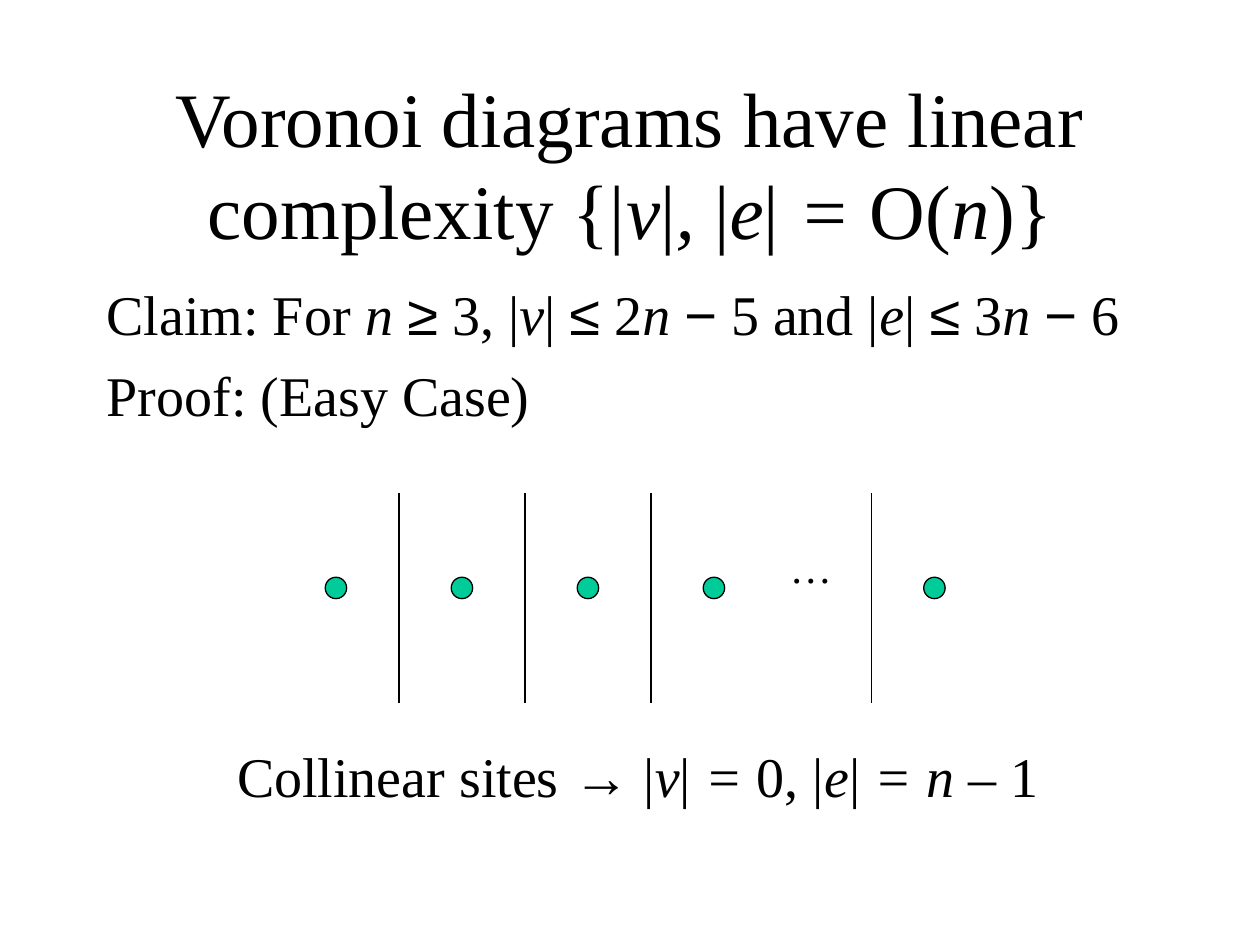
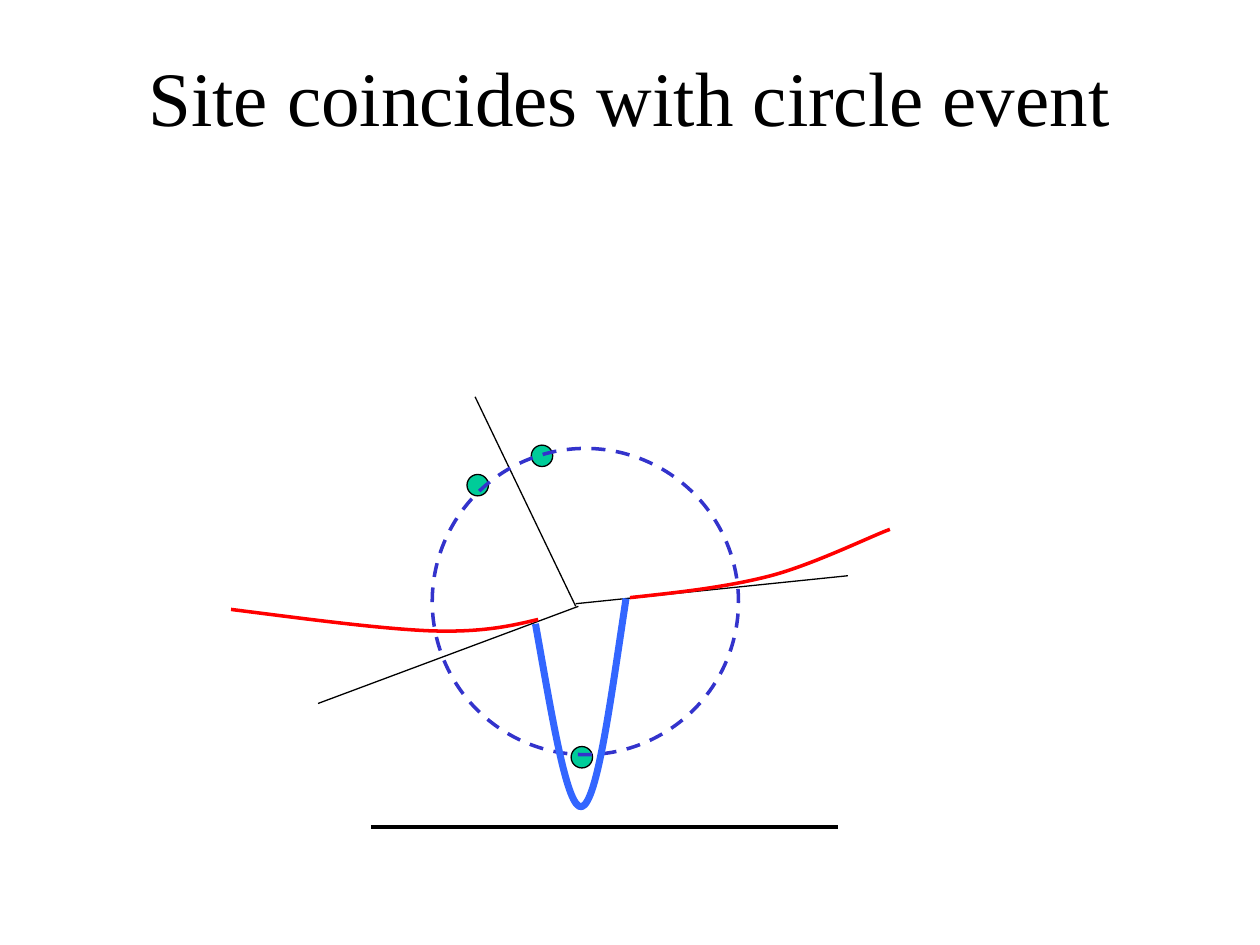
from collections import namedtuple
from dataclasses import dataclass
from itertools import groupby

from lxml import etree
from pptx import Presentation
from pptx.dml.color import RGBColor
from pptx.enum import dml, shapes, text
from pptx.oxml.ns import qn
from pptx.util import Pt

Box = namedtuple("Box", "left top width height")


@dataclass(frozen=True)
class Theme:
    ink: str = "000000"
    site: str = "00CC99"
    circle: str = "3333CC"
    beach: str = "FF0000"
    new_arc: str = "3366FF"
    font: str = "Times New Roman"
    symbol_font: str = "Arial"
    symbols: str = "≥≤−→"
    title_size: float = 44
    body_size: float = 32
    small_size: float = 24
    thin: float = 0.75
    medium: float = 2
    thick: float = 4
    site_size: float = 12.25


THEME = Theme()


# Shared text helpers
def write_rich(para, marked, size):
    """Write text in which *stars* enclose italics; math symbols get their own font."""
    for index, part in enumerate(marked.split("*")):
        for is_symbol, letters in groupby(part, lambda letter: letter in THEME.symbols):
            span = para.add_run()
            span.text = "".join(letters)
            span.font.name = THEME.symbol_font if is_symbol else THEME.font
            span.font.size = Pt(size)
            span.font.italic = index % 2 == 1
            span.font.color.rgb = RGBColor.from_string(THEME.ink)


def place(item, box):
    item.left, item.top, item.width, item.height = map(Pt, box)


def set_frame(frame, anchor, wrap=True):
    frame.margin_left = frame.margin_right = Pt(7.2)
    frame.margin_top = frame.margin_bottom = Pt(3.6)
    frame.auto_size = text.MSO_AUTO_SIZE.NONE
    frame.vertical_anchor = anchor
    frame.word_wrap = wrap


def add_title(page, box, marked):
    title = page.shapes.title
    place(title, box)
    set_frame(title.text_frame, text.MSO_ANCHOR.MIDDLE)
    para = title.text_frame.paragraphs[0]
    para.alignment = text.PP_ALIGN.CENTER
    write_rich(para, marked, THEME.title_size)


def add_body(page, box, lines):
    body = page.placeholders[1]
    place(body, box)
    frame = body.text_frame
    set_frame(frame, text.MSO_ANCHOR.TOP)
    for index, line in enumerate(lines):
        para = frame.add_paragraph() if index else frame.paragraphs[0]
        properties = para._p.get_or_add_pPr()
        properties.set("marL", str(Pt(27)))
        properties.set("indent", str(Pt(-27)))
        etree.SubElement(properties, qn("a:buNone"))
        para.space_before = Pt(8 if index else 0)
        write_rich(para, line, THEME.body_size)


def add_label(page, box, marked, size, wrap=True):
    label = page.shapes.add_textbox(*map(Pt, box))
    set_frame(label.text_frame, text.MSO_ANCHOR.TOP, wrap)
    write_rich(label.text_frame.paragraphs[0], marked, size)


# Shared drawing helpers
def set_line(item, color, width):
    item.line.color.rgb = RGBColor.from_string(color)
    item.line.width = Pt(width)


def shift(box, point):
    return box.left + point[0], box.top + point[1]


def add_line(page, box, start, end, width=THEME.thin):
    ends = [Pt(value) for point in (start, end) for value in shift(box, point)]
    line = page.shapes.add_connector(shapes.MSO_CONNECTOR.STRAIGHT, *ends)
    set_line(line, THEME.ink, width)
    etree.SubElement(line._element.spPr, qn("a:effectLst"))


def add_circle(page, box, center, size):
    x, y = shift(box, center)
    circle = page.shapes.add_shape(
        shapes.MSO_SHAPE.OVAL, Pt(x - size / 2), Pt(y - size / 2), Pt(size), Pt(size))
    circle.shadow.inherit = False
    return circle


def add_site(page, box, center):
    site = add_circle(page, box, center, THEME.site_size)
    site.fill.solid()
    site.fill.fore_color.rgb = RGBColor.from_string(THEME.site)
    set_line(site, THEME.ink, THEME.thin)


def add_curve(page, box, controls, color, width):
    """Draw joined cubic curves; neighbours share an end point."""
    points = [tuple(map(Pt, shift(box, point))) for point in controls]
    builder = page.shapes.build_freeform(*points[0])
    builder.add_line_segments(points[1:], close=False)
    curve = builder.convert_to_shape()

    # Turn every three line segments into one cubic segment
    outline = curve._element.spPr.find(".//" + qn("a:path"))
    segments = outline.findall(qn("a:lnTo"))
    for first in range(0, len(segments), 3):
        cubic = etree.SubElement(outline, qn("a:cubicBezTo"))
        for segment in segments[first:first + 3]:
            cubic.append(segment[0])
            outline.remove(segment)

    curve.shadow.inherit = False
    curve.fill.background()
    set_line(curve, color, width)


# Diagram regions
def draw_collinear_sites(page, box):
    pitch, middle = 72, 54
    centers = [6 + pitch * index for index in range(4)] + [box.width - 6]
    for center in centers:
        add_site(page, box, (center, middle))
    for center in centers[1:]:
        edge = center - pitch / 2
        add_line(page, box, (edge, 0), (edge, box.height))
    add_label(page, Box(*shift(box, (258.25, 24)), 38, 36), "…", THEME.small_size, wrap=False)


def draw_circle_event(page, box):
    # Sweep line and Voronoi edges
    add_line(page, box, (82, 252.5), (348.75, 252.5), THEME.medium)
    for start, end in (((141.5, 6.75), (199, 126.5)),
                       ((200.5, 126.5), (51.75, 182)),
                       ((199, 125), (354.5, 109))):
        add_line(page, box, start, end)

    # Sites and the empty circle through them
    for center in ((202.5, 212.75), (143, 57.25), (179.75, 40.5)):
        add_site(page, box, center)
    circle = add_circle(page, box, (204.5, 123.75), 175)
    circle.fill.background()
    set_line(circle, THEME.circle, THEME.medium)
    circle.line.dash_style = dml.MSO_LINE.DASH

    # Beach line, split by the arc of the new site
    left_arc = ((2, 128.25), (43.5, 133.5), (86, 139.25), (115.5, 140.5),
                (144.5, 141.5), (161, 138), (177.5, 134))
    right_arc = ((230, 121.5), (258, 118.5), (285.5, 115.5), (310.5, 109),
                 (335, 102.5), (367.5, 86.5), (378.5, 82.5))
    new_arc = ((176, 136.5), (185.5, 189.5), (194, 243), (202.5, 241),
               (211.5, 238), (219, 179.5), (227.75, 122))
    for arc in (left_arc, right_arc):
        add_curve(page, box, arc, THEME.beach, THEME.medium)
    add_curve(page, box, new_arc, THEME.new_arc, THEME.thick)


# Slides
def build_complexity_slide(deck):
    page = deck.slides.add_slide(deck.slide_layouts.get_by_name("Title and Content"))
    add_title(page, Box(54, 48, 612, 90),
              "Voronoi diagrams have linear complexity {|*v*|*, *|*e*|* = *O(*n*)}")
    add_body(page, Box(53.75, 156, 612, 324),
             ("Claim: For *n *≥ 3, |*v*| ≤ 2*n *− 5 and |*e*| ≤ 3*n *− 6",
              "Proof: (Easy Case)"))
    draw_collinear_sites(page, Box(186, 282, 354, 120))
    add_label(page, Box(128.4, 420, 494, 46),
              "Collinear sites → |*v*|* = *0, |*e*|* = n – *1", THEME.body_size)


def build_circle_event_slide(deck):
    page = deck.slides.add_slide(deck.slide_layouts.get_by_name("Title Only"))
    add_title(page, Box(54, 9.75, 612, 90), "Site coincides with circle event")
    draw_circle_event(page, Box(130, 220, 380, 255))


def main():
    deck = Presentation()
    deck.slide_width, deck.slide_height = Pt(720), Pt(540)
    build_complexity_slide(deck)
    build_circle_event_slide(deck)
    deck.save("out.pptx")


if __name__ == "__main__":
    main()
